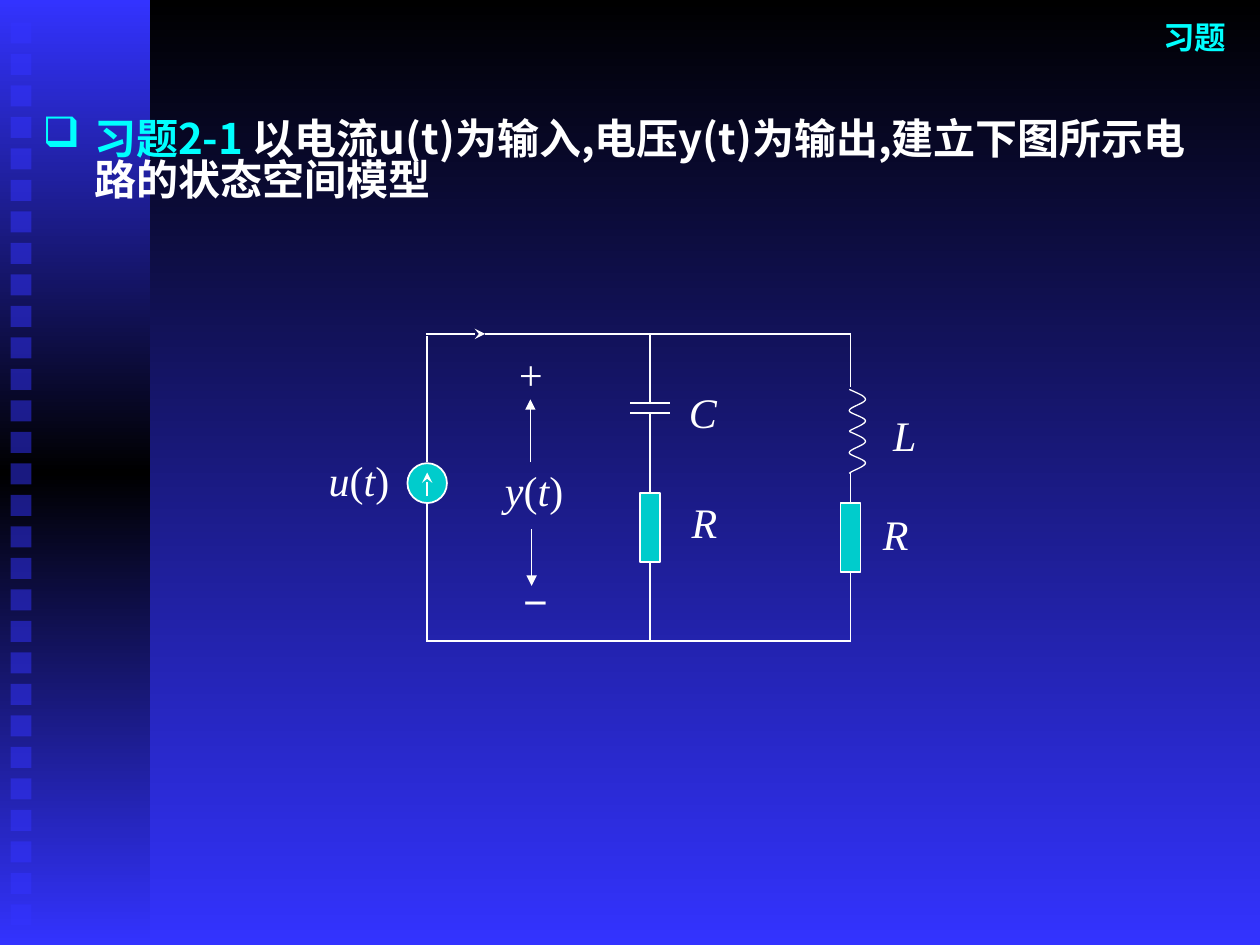
"""Build the circuit exercise slide on state-space modelling."""
from dataclasses import dataclass

from lxml.etree import SubElement
from pptx import Presentation
from pptx.dml.color import RGBColor
from pptx.enum.shapes import MSO_CONNECTOR, MSO_SHAPE
from pptx.enum.text import MSO_ANCHOR, MSO_AUTO_SIZE, PP_ALIGN
from pptx.oxml.ns import qn
from pptx.util import Pt


@dataclass(frozen=True)
class Theme:
    blue: str = "3333FF"
    black: str = "000000"
    white: str = "FFFFFF"
    cyan: str = "00FFFF"
    teal: str = "00CCCC"
    cjk: str = "Noto Sans CJK SC"
    serif: str = "Times New Roman"
    sans: str = "Arial"
    title_size: float = 18
    body_size: float = 24
    wire: float = 1
    coil: float = 0.75


class CircuitSlide:
    def __init__(self, slide, theme):
        self.slide = slide
        self.shapes = slide.shapes
        self.theme = theme

    def gradient(self, fill, element, colors):
        fill.gradient()
        fill.gradient_angle = 270
        stops = element.find(".//" + qn("a:gsLst"))
        for stop in list(stops):
            stops.remove(stop)
        for index, color in enumerate(colors):
            position = 100000 * index // (len(colors) - 1)
            stop = SubElement(stops, qn("a:gs"), pos=str(position))
            SubElement(stop, qn("a:srgbClr"), val=color)

    def background(self, colors):
        self.gradient(self.slide.background.fill, self.slide._element, colors)

    def block(self, left, top, width, height, color=None, outline=None,
              kind=MSO_SHAPE.RECTANGLE):
        block = self.shapes.add_shape(kind, Pt(left), Pt(top), Pt(width), Pt(height))
        block.shadow.inherit = False
        if color:
            block.fill.solid()
            block.fill.fore_color.rgb = RGBColor.from_string(color)
        if outline:
            block.line.color.rgb = RGBColor.from_string(outline)
            block.line.width = Pt(self.theme.wire)
        else:
            block.line.fill.background()
        return block

    def band(self, width, height, colors):
        band = self.block(0, 0, width, height)
        self.gradient(band.fill, band._element, colors)

    def veil(self, left, top, side, color):
        veil = self.block(left, top, side, side, color)
        tint = veil._element.spPr.find(qn("a:solidFill") + "/" + qn("a:srgbClr"))
        SubElement(tint, qn("a:alpha"), val="50000")

    def resistor(self, center, top):
        return self.block(center - 5.75, top, 11.5, 39.6, self.theme.teal, self.theme.white)

    def wire(self, x1, y1, x2, y2, head=None, begin=None, end=None):
        wire = self.shapes.add_connector(MSO_CONNECTOR.STRAIGHT, Pt(x1), Pt(y1), Pt(x2), Pt(y2))
        wire.line.color.rgb = RGBColor.from_string(self.theme.white)
        wire.line.width = Pt(self.theme.wire)
        properties = wire._element.spPr
        if head:
            SubElement(properties.find(qn("a:ln")), qn("a:tailEnd"), type=head)
        SubElement(properties, qn("a:effectLst"))
        if begin:
            wire.begin_connect(begin, 2)
        if end:
            wire.end_connect(end, 0)

    def coil(self, left, top):
        turns = [
            ((0, 0), (4.3, 2.1), (9.3, 3.7), (9.3, 5.8)),
            ((9.3, 5.8), (9.3, 7.9), (0, 10.1), (0, 12.2)),
            ((0, 12.2), (0, 13.8), (9.3, 15.9), (9.3, 18)),
            ((9.3, 18), (9.3, 20.2), (1.4, 22.4), (0, 24)),
        ]
        outline = self.shapes.build_freeform(Pt(left), Pt(top))
        points = []
        for a, b, c, d in turns:
            for t in (step / 10 for step in range(1, 11)):
                x, y = ((1 - t) ** 3 * p + 3 * (1 - t) ** 2 * t * q
                        + 3 * (1 - t) * t ** 2 * r + t ** 3 * s
                        for p, q, r, s in zip(a, b, c, d))
                points.append((Pt(left + x), Pt(top + y)))
        outline.add_line_segments(points, close=False)
        coil = outline.convert_to_shape()
        coil.shadow.inherit = False
        coil.fill.background()
        coil.line.color.rgb = RGBColor.from_string(self.theme.white)
        coil.line.width = Pt(self.theme.coil)

    def text(self, left, top, width, height, wrap=True):
        frame = self.shapes.add_textbox(Pt(left), Pt(top), Pt(width), Pt(height)).text_frame
        frame.word_wrap = wrap
        return frame

    def style(self, paragraph, name, size, color, bold=False, italic=False):
        font = paragraph.font
        font.name = name
        font.size = Pt(size)
        font.bold = bold
        font.italic = italic
        font.color.rgb = RGBColor.from_string(color)
        font._element.find(qn("a:latin")).addnext(
            font._element.makeelement(qn("a:ea"), typeface=self.theme.cjk))

    def title(self, text):
        frame = self.text(95.8, 12.2, 612, 18)
        frame.vertical_anchor = MSO_ANCHOR.MIDDLE
        heading = frame.paragraphs[0]
        heading.alignment = PP_ALIGN.RIGHT
        heading.add_run().text = text
        self.style(heading, self.theme.serif, self.theme.title_size, self.theme.cyan, bold=True)

    def exercise(self, number, task):
        statement = self.text(17.3, 65.6, 674.6, 430).paragraphs[0]
        statement.line_spacing = 0.82
        properties = statement._p.get_or_add_pPr()
        properties.set("marL", str(Pt(29.5)))
        properties.set("indent", str(Pt(-29.5)))
        SubElement(SubElement(properties, qn("a:buClr")), qn("a:srgbClr"), val=self.theme.cyan)
        SubElement(properties, qn("a:buChar"), char="❑")
        self.style(statement, self.theme.cjk, self.theme.body_size, self.theme.white, bold=True)
        lead = statement.add_run()
        lead.text = number
        lead.font.color.rgb = RGBColor.from_string(self.theme.cyan)
        statement.add_run().text = task

    def label(self, text, left, top, width, name=None):
        frame = self.text(left, top, width, 36, wrap=False)
        frame.auto_size = MSO_AUTO_SIZE.SHAPE_TO_FIT_TEXT
        symbol = frame.paragraphs[0]
        self.style(symbol, name or self.theme.serif, self.theme.body_size,
                   self.theme.white, italic=True)
        for letter in text:
            run = symbol.add_run()
            run.text = letter
            if letter in "()":
                run.font.italic = False


def draw_circuit(page):
    theme = page.theme
    top, bottom = 190.8, 366.5
    source, branch, right = 244.1, 371.5, 486
    page.wire(243.4, bottom, right, bottom)
    page.wire(243.4, top, 277.2, top, head="stealth")
    page.wire(277.2, top, right, top)

    page.block(source - 11.3, 264.7, 22.6, 22.8, theme.teal, theme.white, MSO_SHAPE.OVAL)
    page.wire(source, 264.3, source, 192.2)
    page.wire(source, 287.4, source, bottom)
    page.wire(source, 283.7, source, 270, head="stealth")

    page.wire(branch, top, branch, 230.4)
    for plate in (230.4, 236.2):
        page.wire(branch - 11.5, plate, branch + 11.5, plate)
    branch_resistor = page.resistor(branch, 281.5)
    page.wire(branch, 236.2, branch, 281.5, end=branch_resistor)
    page.wire(branch, 321.1, branch, bottom, begin=branch_resistor)

    page.wire(right, top, right, 221)
    for half in range(2):
        page.coil(485.3, 222.5 + 24 * half)
    right_resistor = page.resistor(right, 287.3)
    page.wire(right, 270, right, 287.3, end=right_resistor)
    page.wire(right, 326.9, right, bottom, begin=right_resistor)

    page.wire(303.1, 264.2, 303.1, 228.2, head="triangle")
    page.wire(303.8, 302.4, 303.8, 334.8, head="triangle")
    for text, left, height, width in (
        ("u(t)", 180.7, 256.3, 49), ("y(t)", 281.5, 262.1, 47.5),
        ("C", 386.6, 217.4, 30.2), ("R", 388.1, 280.1, 28.8),
        ("R", 497.5, 287.3, 28.8), ("L", 503.3, 230.4, 27.4),
        ("+", 288, 195.8, 30.2),
    ):
        page.label(text, left, height, width)
    page.label("−", 291.6, 325.4, 22.3, theme.sans)


def main():
    deck = Presentation()
    deck.slide_width, deck.slide_height = Pt(720), Pt(540)
    theme = Theme()
    page = CircuitSlide(deck.slides.add_slide(deck.slide_layouts[6]), theme)
    page.background((theme.black, theme.blue))
    page.band(85.7, 540, (theme.blue, theme.black, theme.blue))
    for row in range(29):
        page.veil(6, 12.75 + 18 * row, 12, theme.blue)
    page.exercise("习题2-1 ", "以电流u(t)为输入,电压y(t)为输出,建立下图所示电路的状态空间模型")
    draw_circuit(page)
    page.title("习题")
    deck.save("out.pptx")


if __name__ == "__main__":
    main()
